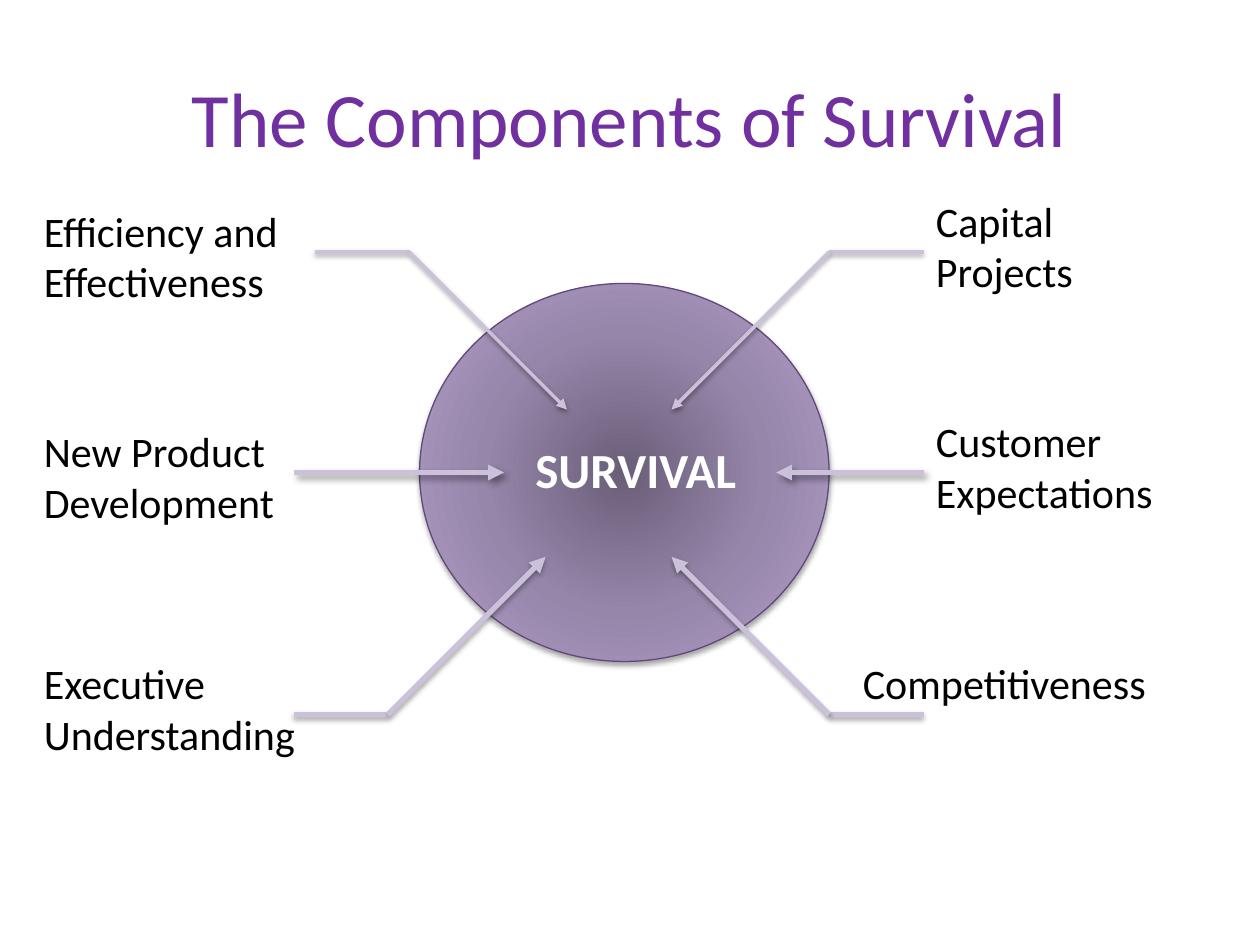
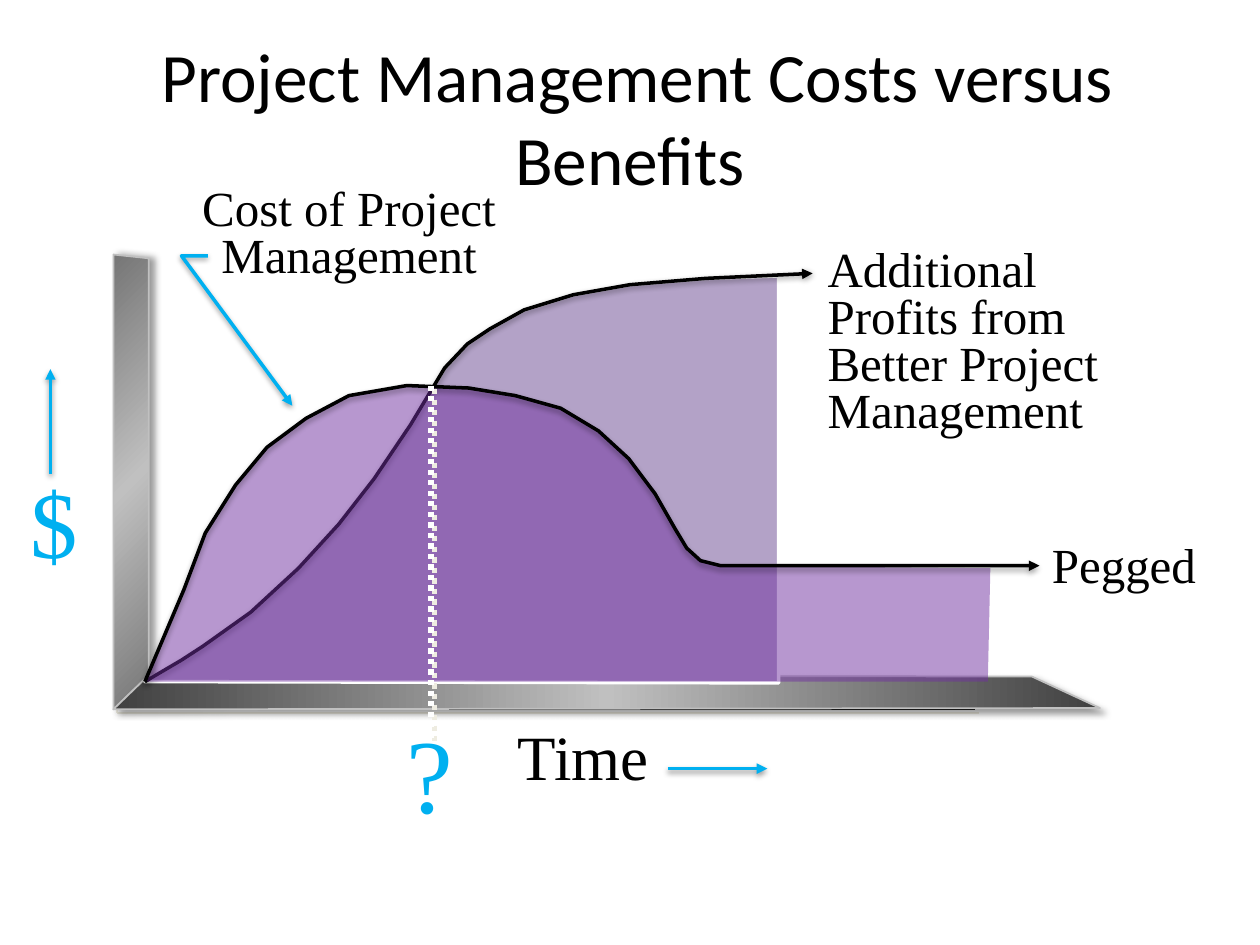
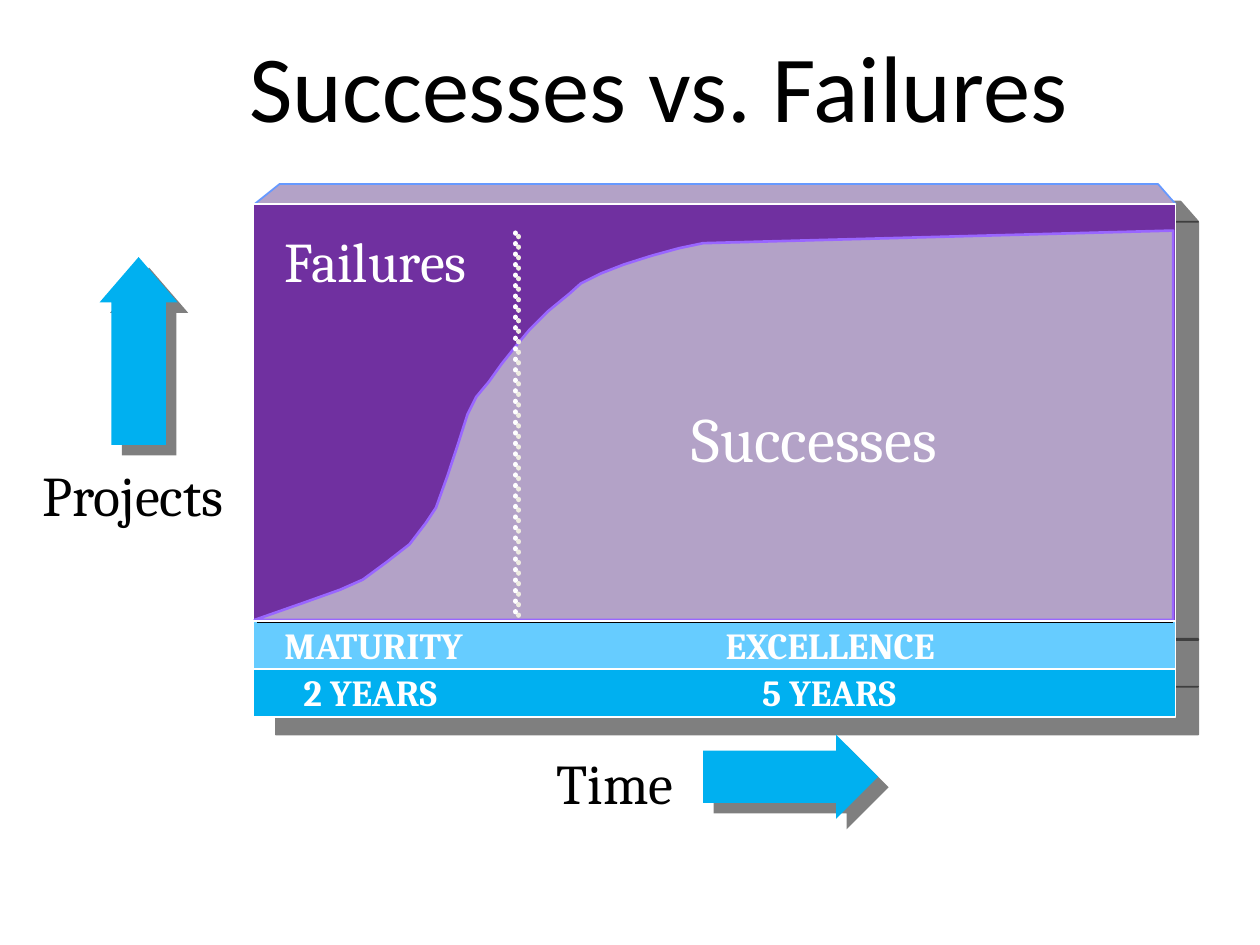
from dataclasses import dataclass
from itertools import pairwise

from lxml.etree import SubElement
from pptx import Presentation
from pptx.dml.color import RGBColor
from pptx.enum.dml import MSO_LINE
from pptx.enum.shapes import MSO_CONNECTOR, MSO_SHAPE
from pptx.enum.text import MSO_ANCHOR, MSO_AUTO_SIZE, PP_ALIGN
from pptx.oxml.ns import qn
from pptx.util import Inches, Pt


@dataclass(frozen=True)
class Theme:
    sans: str = "Calibri"
    serif: str = "Times New Roman"
    book: str = "Cambria"
    black: str = "000000"
    white: str = "FFFFFF"
    purple: str = "7030A0"
    lilac: str = "B3A2C7"
    pale_lilac: str = "CCC1DA"
    dark_lilac: str = "604A7B"
    violet: str = "9966FF"
    cyan: str = "00B0F0"
    sky: str = "66CCFF"
    periwinkle: str = "6699FF"
    silver: str = "C0C0C0"
    title: float = 44
    long_title: float = 39.6
    big: float = 54
    huge: float = 60
    time: float = 36
    area: float = 32
    note: float = 28
    label: float = 24
    band: float = 21
    # Shadows: colour, opacity %, blur pt, distance pt, angle
    soft: tuple = ("000000", 35, 3.1, 1.8, 90)
    faint: tuple = ("000000", 38, 3.1, 1.6, 90)
    slanted: tuple = ("000000", 40, 4, 3, 45)
    sideways: tuple = ("000000", 40, 4, 3, 0)
    deep: tuple = ("000000", 50, 0, 16.4, 38)
    short: tuple = ("000000", 50, 0, 8.5, 45)
    ivory: tuple = ("EEECE1", 100, 0, 2.8, 45)
    # Gradients: stops, angle (None runs outward from the centre)
    hub: tuple = (((0, "6A5E78"), (50, "9686AA"), (100, "B39FCA")), None)
    wall: tuple = (((0, "767676"), (50, "C0C0C0"), (100, "767676")), 45)
    floor: tuple = (((0, "404040"), (50, "C0C0C0"), (100, "404040")), 0)


THEME = Theme()


def child(parent, tag, **attributes):
    return SubElement(parent, qn(tag), {k: str(v) for k, v in attributes.items()})


def add_shadow(properties, shadow):
    """Append an effect list, which stays empty when there is no shadow."""
    effects = child(properties, "a:effectLst")
    if shadow:
        color, opacity, blur, distance, angle = shadow
        outer = child(effects, "a:outerShdw", blurRad=Pt(blur), dist=Pt(distance),
                      dir=angle * 60000, algn="ctr", rotWithShape=0)
        child(child(outer, "a:srgbClr", val=color), "a:alpha", val=opacity * 1000)


def paint_gradient(shape, gradient):
    stops, angle = gradient
    shape.fill.gradient()
    grad = shape.element.spPr.find(qn("a:gradFill"))
    for part in list(grad):
        grad.remove(part)
    stop_list = child(grad, "a:gsLst")
    for position, color in stops:
        stop = child(stop_list, "a:gs", pos=position * 1000)
        child(stop, "a:srgbClr", val=color)
    if angle is None:
        route = child(grad, "a:path", path="circle")
        child(route, "a:fillToRect", l=50000, t=50000, r=50000, b=50000)
    else:
        child(grad, "a:lin", ang=angle * 60000, scaled=0)


def paint_fill(shape, fill, opacity=100):
    if fill is None:
        shape.fill.background()
    elif isinstance(fill, tuple):
        paint_gradient(shape, fill)
    else:
        shape.fill.solid()
        shape.fill.fore_color.rgb = RGBColor.from_string(fill)
        if opacity < 100:
            color = shape.element.spPr.find(qn("a:solidFill"))[0]
            child(color, "a:alpha", val=opacity * 1000)


def draw_line(shape, color, width, head=False):
    if color is None:
        shape.line.fill.background()
        return
    shape.line.color.rgb = RGBColor.from_string(color)
    shape.line.width = Pt(width)
    if head:
        child(shape.line._get_or_add_ln(), "a:tailEnd", type="triangle")


class Region:
    """Places parts in inches from its own left top corner."""

    def __init__(self, slide, left, top):
        self.shapes, self.left, self.top = slide.shapes, left, top

    def at(self, x, y):
        return Inches(self.left + x), Inches(self.top + y)

    def text(self, words, x, y, width, height, size, font, color=THEME.black, bold=False,
             align=PP_ALIGN.LEFT, spacing=None, middle=False, wrap=True, grow=True, shadow=None):
        box = self.shapes.add_textbox(*self.at(x, y), Inches(width), Inches(height))
        frame = box.text_frame
        frame.word_wrap = wrap
        frame.auto_size = MSO_AUTO_SIZE.SHAPE_TO_FIT_TEXT if grow else MSO_AUTO_SIZE.NONE
        frame.vertical_anchor = MSO_ANCHOR.MIDDLE if middle else MSO_ANCHOR.TOP
        paragraph = frame.paragraphs[0]
        paragraph.text = words
        paragraph.alignment = align
        if spacing:
            paragraph.line_spacing = spacing
        paragraph.font.size = Pt(size)
        paragraph.font.name = font
        paragraph.font.bold = bold
        paragraph.font.color.rgb = RGBColor.from_string(color)
        if shadow:
            add_shadow(paragraph.runs[0]._r.get_or_add_rPr(), shadow)

    def shape(self, kind, x, y, width, height, fill, line=None, weight=1, shadow=None,
              adjustments=()):
        shape = self.shapes.add_shape(kind, *self.at(x, y), Inches(width), Inches(height))
        for index, value in enumerate(adjustments):
            shape.adjustments[index] = value
        paint_fill(shape, fill)
        draw_line(shape, line, weight)
        add_shadow(shape.element.spPr, shadow)

    def outline(self, points, fill=None, line=None, weight=1, shadow=None, head=False,
                opacity=100):
        """Draw a closed area, or an open line when there is no fill."""
        start, *others = [(x * 100, y * 100) for x, y in points]
        builder = self.shapes.build_freeform(*start, scale=Inches(0.01))
        builder.add_line_segments(others, close=fill is not None)
        shape = builder.convert_to_shape(*self.at(0, 0))
        paint_fill(shape, fill, opacity)
        draw_line(shape, line, weight, head)
        add_shadow(shape.element.spPr, shadow)

    def route(self, points, color, weight, shadow=None, head=True):
        """Join points with connectors; the last one may carry an arrowhead."""
        for begin, end in pairwise(points):
            connector = self.shapes.add_connector(
                MSO_CONNECTOR.STRAIGHT, *self.at(*begin), *self.at(*end))
            draw_line(connector, color, weight, head and end == points[-1])
            add_shadow(connector.element.spPr, shadow)

    def dotted(self, x, top, bottom, cap="flat"):
        line = self.shapes.add_connector(
            MSO_CONNECTOR.STRAIGHT, *self.at(x, top), *self.at(x, bottom))
        draw_line(line, THEME.white, 3)
        line.line.dash_style = MSO_LINE.ROUND_DOT
        line.line._get_or_add_ln().set("cap", cap)
        add_shadow(line.element.spPr, THEME.ivory)


def title(slide, words, size, color=THEME.black):
    Region(slide, 0.5, 0.3).text(words, 0, 0, 9, 1.25, size, THEME.sans, color,
                                 align=PP_ALIGN.CENTER, middle=True, grow=False)


def survival_hub(region):
    region.shape(MSO_SHAPE.OVAL, 3.08, 0.75, 3.25, 3, THEME.hub, THEME.dark_lilac, 0.75,
                 THEME.soft)
    region.text("SURVIVAL", 3.67, 1.94, 2.25, 0.57, THEME.note, THEME.sans, THEME.white,
                bold=True, align=PP_ALIGN.CENTER)


def component(region, words, label_at, start, inward, run, rise, weight, shadow):
    """Label one component and point it inward, bending by rise after the run."""
    lines = words.count("\n") + 1
    region.text(words, *label_at, 2.83, 0.09 + 0.41 * lines, THEME.label, THEME.sans)
    x, y = start
    points = [start, (x + inward * run, y)]
    if rise:
        points.append((x + inward * (run + abs(rise)), y + rise))
    region.route(points, THEME.pale_lilac, weight, shadow)


def survival_slide(slide):
    title(slide, "The Components of Survival", THEME.title, THEME.purple)
    region = Region(slide, 0.25, 1.5)
    survival_hub(region)
    bend, slope = 0.75, 1.25
    upper, middle, lower = (2, THEME.faint), (3, THEME.slanted), (3, THEME.soft)
    for words, label_at, start, inward, run, rise, style in (
        ("Efficiency and\nEffectiveness", (0, 0.08), (2.25, 0.5), 1, bend, slope, upper),
        ("New Product\nDevelopment", (0, 1.83), (2.08, 2.25), 1, 1.67, 0, middle),
        ("Executive\nUnderstanding", (0, 3.67), (2.08, 4.17), 1, bend, -slope, lower),
        ("Capital\nProjects", (7.08, 0), (7.08, 0.5), -1, bend, slope, upper),
        ("Customer\nExpectations", (7.08, 1.75), (7.08, 2.25), -1, 1.17, 0, middle),
        ("Competitiveness", (6.5, 3.67), (7.08, 4.17), -1, bend, -slope, lower),
    ):
        component(region, words, label_at, start, inward, run, rise, *style)


PROFIT_CURVE = [
    (0.25, 3.39), (0.54, 3.22), (0.71, 3.11), (1.09, 2.84), (1.47, 2.49), (1.79, 2.14),
    (2.07, 1.78), (2.36, 1.35), (2.54, 1.05), (2.63, 0.9), (2.81, 0.71), (2.99, 0.59),
    (3.26, 0.44), (3.65, 0.32), (4.1, 0.24), (4.7, 0.19), (5.55, 0.15)]
COST_CURVE = [
    (0.25, 3.39), (0.56, 2.66), (0.73, 2.21), (0.97, 1.83), (1.22, 1.53), (1.53, 1.3),
    (1.87, 1.12), (2.33, 1.04), (2.82, 1.06), (3.19, 1.12), (3.55, 1.22), (3.85, 1.4),
    (4.09, 1.62), (4.3, 1.9), (4.46, 2.18), (4.55, 2.33), (4.66, 2.43), (4.82, 2.47),
    (7.35, 2.47)]
SUCCESS_CURVE = [
    (0.01, 3.3), (0.41, 3.16), (0.69, 3.06), (0.87, 2.98), (1.06, 2.84), (1.24, 2.7),
    (1.37, 2.53), (1.45, 2.41), (1.54, 2.16), (1.62, 1.92), (1.7, 1.67), (1.77, 1.53),
    (1.87, 1.41), (1.97, 1.27), (2.09, 1.12), (2.19, 1), (2.34, 0.85), (2.51, 0.71),
    (2.6, 0.63), (2.76, 0.55), (2.94, 0.48), (3.16, 0.41), (3.38, 0.35), (3.57, 0.31),
    (7.3, 0.21)]


def cost_axes(region):
    corner, inner = (0, 3.61), (0.28, 3.34)
    region.route([(0, 0), corner, (6.84, 3.61)], THEME.black, 1, THEME.ivory, head=False)
    region.outline([corner, inner, (0.28, 0.03), (0, 0)], THEME.wall, THEME.silver,
                   shadow=THEME.sideways)
    region.outline([corner, inner, (7.29, 3.35), (7.83, 3.6)], THEME.floor, THEME.silver,
                   shadow=THEME.slanted)


def curve_with_area(region, curve, edge, fill, line=None, opacity=100):
    """Fill below the curve as far as the edge, then draw the curve as an arrow."""
    region.outline(curve[:-1] + edge, fill, line, 2, opacity=opacity)
    region.outline(curve, line=THEME.black, weight=2, shadow=THEME.faint, head=True)


def cost_labels(region):
    for words, x, y, width, height, size, color in (
        ("$", -0.76, 1.75, 0.58, 0.87, THEME.big, THEME.cyan),
        ("Time", 3.1, 3.72, 1.26, 0.61, THEME.time, THEME.black),
    ):
        region.text(words, x, y, width, height, size, THEME.serif, color,
                    align=PP_ALIGN.CENTER, spacing=0.85, middle=True, wrap=False)
    region.text("?", 2.23, 3.55, 0.57, 1.1, THEME.huge, THEME.serif, THEME.cyan,
                middle=True, wrap=False)
    for words, x, y, width, height, align in (
        ("Additional\nProfits from\nBetter Project\nManagement", 5.57, -0.09, 2.45, 1.59,
         PP_ALIGN.LEFT),
        ("Cost of Project Management", 0.23, -0.57, 3.28, 0.85, PP_ALIGN.CENTER),
        ("Pegged", 6.38, 2.26, 3.28, 0.47, PP_ALIGN.CENTER),
    ):
        region.text(words, x, y, width, height, THEME.note, THEME.serif, align=align,
                    spacing=0.8)
    for points in ([(-0.5, 1.74), (-0.5, 0.91)], [(4.4, 4.08), (5.19, 4.08)]):
        region.route(points, THEME.cyan, 2, THEME.faint)
    region.outline([(0.75, 0.01), (0.54, 0.01), (1.42, 1.2)], line=THEME.cyan, weight=2,
                   shadow=THEME.faint, head=True)


def cost_slide(slide):
    title(slide, " Project Management Costs versus Benefits", THEME.long_title)
    region = Region(slide, 0.9, 2.02)
    cost_axes(region)
    cost_labels(region)
    curve_with_area(region, PROFIT_CURVE, [(5.28, 0.17), (5.28, 3.4)], THEME.lilac,
                    THEME.white)
    curve_with_area(region, COST_CURVE, [(6.96, 2.49), (6.94, 3.39)], THEME.purple,
                    opacity=50)
    region.dotted(2.52, 1.04, 3.85)


def success_panel(region):
    region.outline([(0.01, 0), (0.21, -0.16), (7.18, -0.16), (7.32, 0)], THEME.lilac,
                   THEME.periwinkle, shadow=THEME.deep)
    region.shape(MSO_SHAPE.RECTANGLE, 0, 0, 7.32, 3.32, THEME.purple, THEME.white,
                 shadow=THEME.deep)
    region.outline(SUCCESS_CURVE + [(7.3, 3.3)], THEME.lilac, THEME.violet, 1.5)
    region.dotted(2.08, 0.23, 3.28, cap="rnd")


def phase_bands(region):
    for row, (fill, first, second) in enumerate((
        (THEME.sky, ("MATURITY", 0.15, 1.87), ("EXCELLENCE", 3.65, 2.15)),
        (THEME.cyan, ("2 YEARS", 0.3, 1.42), ("5 YEARS", 3.94, 1.42)),
    )):
        top = 3.31 + 0.38 * row
        region.shape(MSO_SHAPE.RECTANGLE, 0, top, 7.32, 0.38, fill, THEME.white,
                     shadow=THEME.deep)
        for words, x, width in (first, second):
            region.text(words, x, top - 0.04, width, 0.45, THEME.band, THEME.book,
                        THEME.white, bold=True, wrap=False)
    region.route([(0.03, 3.32), (7.3, 3.32)], THEME.black, 1, head=False)


def success_labels(region):
    for words, x, y, width, height, size, color in (
        ("Failures", 0.15, 0.13, 1.79, 0.64, THEME.area, THEME.white),
        ("Successes", 3.38, 1.5, 2.34, 0.7, THEME.time, THEME.white),
        ("Projects", -1.77, 1.99, 1.75, 0.64, THEME.area, THEME.black),
        ("Time", 2.31, 4.27, 1.22, 0.64, THEME.area, THEME.black),
    ):
        region.text(words, x, y, width, height, size, THEME.book, color, wrap=False)
    for kind, x, y, width, height, adjustments in (
        (MSO_SHAPE.UP_ARROW, -1.22, 0.42, 0.62, 1.49, (0.7, 0.58)),
        (MSO_SHAPE.RIGHT_ARROW, 3.57, 4.21, 1.39, 0.67, (0.62, 0.5)),
    ):
        region.shape(kind, x, y, width, height, THEME.cyan, shadow=THEME.short,
                     adjustments=adjustments)


def success_slide(slide):
    Region(slide, 1.88, 0.17).text("Successes vs. Failures", 0, 0, 6.91, 1.01, THEME.big,
                                   THEME.sans, wrap=False, shadow=THEME.ivory)
    region = Region(slide, 2.01, 1.62)
    success_panel(region)
    phase_bands(region)
    success_labels(region)


def main():
    deck = Presentation()
    deck.slide_width, deck.slide_height = Inches(10), Inches(7.5)
    for build in (survival_slide, cost_slide, success_slide):
        build(deck.slides.add_slide(deck.slide_layouts[6]))
    deck.save("out.pptx")


if __name__ == "__main__":
    main()
